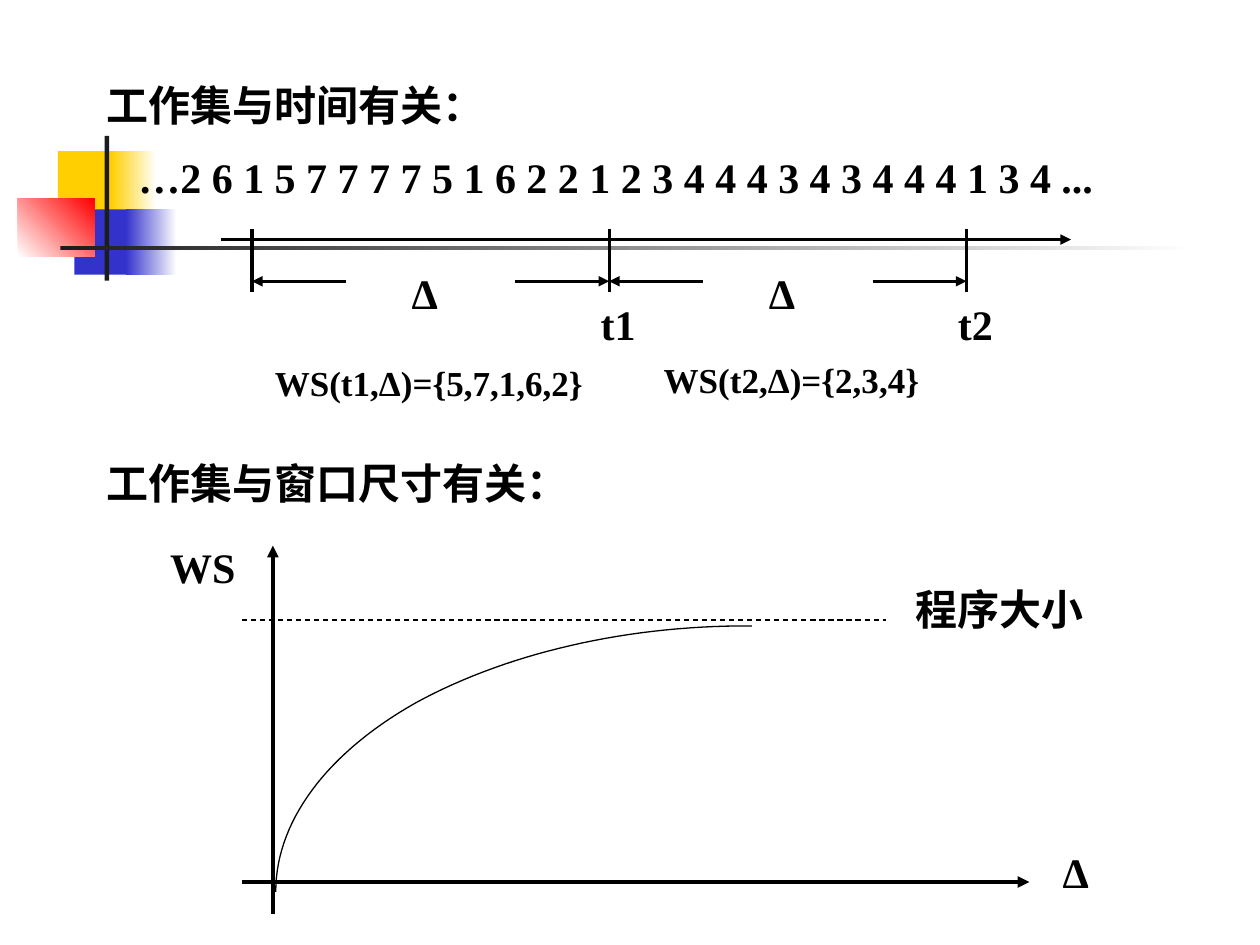
import lxml.etree
import pptx
import pptx.dml.color
import pptx.enum.dml
import pptx.enum.shapes
import pptx.enum.text
import pptx.oxml.ns
import pptx.util

Cm = pptx.util.Cm
Pt = pptx.util.Pt
qn = pptx.oxml.ns.qn
BLACK = "000000"


def hue(code):
    """Turn a hex string into a colour."""
    return pptx.dml.color.RGBColor.from_string(code)


def say(text, x, y, w, h=1.27, size=24, box=None):
    """Write bold text in a new text box, or in the placeholder given as box."""
    if box is None:
        box = slide.shapes.add_textbox(0, 0, 0, 0)
    box.left, box.top, box.width, box.height = Cm(x), Cm(y), Cm(w), Cm(h)
    frame = box.text_frame
    frame.word_wrap = True
    frame.auto_size = pptx.enum.text.MSO_AUTO_SIZE.NONE
    frame.vertical_anchor = pptx.enum.text.MSO_ANCHOR.TOP
    para = frame.paragraphs[0]
    para.alignment = pptx.enum.text.PP_ALIGN.LEFT
    run = para.add_run()
    run.text = text
    run.font.name = "Times New Roman"
    run.font.size = Pt(size)
    run.font.bold = True
    run.font.color.rgb = hue(BLACK)


deck = pptx.Presentation()
deck.slide_width, deck.slide_height = Cm(25.4), Cm(19.05)
slide = deck.slides.add_slide(deck.slide_layouts[5])

# Corner ornament: place, first colour, last colour, gradient angle
decor = [
    (1.17, 3.05, 1.22, 1.32, "FFCF01", None, 0),
    (2.24, 3.05, 0.91, 1.32, "FFCF01", "FFFFFF", 0),
    (1.5, 4.22, 1.17, 1.32, "3333CC", None, 0),
    (2.54, 4.22, 1.02, 1.32, "3333CC", "FFFFFF", 0),
    (0.36, 4.01, 1.55, 1.17, "FFFFFF", "FF0000", 45),
    (2.11, 2.74, 0.09, 2.92, "1C1C1C", None, 0),
    (1.22, 4.95, 22.86, 0.09, "1C1C1C", "FFFFFF", 0),
]
for x, y, w, h, first, last, angle in decor:
    block = slide.shapes.add_shape(
        pptx.enum.shapes.MSO_SHAPE.RECTANGLE, Cm(x), Cm(y), Cm(w), Cm(h))
    block.shadow.inherit = False
    block.line.fill.background()
    if last is None:
        block.fill.solid()
        block.fill.fore_color.rgb = hue(first)
    else:
        block.fill.gradient()
        block.fill.gradient_angle = angle
        for stop, code in zip(block.fill.gradient_stops, (first, last)):
            stop.color.rgb = hue(code)

# Headings and labels
say("工作集与时间有关：", 1.9, 1.48, 20.52, box=slide.shapes.title)
say("…2 6 1 5 7 7 7 7 5 1 6 2 2 1 2 3 4 4 4 3 4 3 4 4 4 1 3 4 ...", 2.54, 2.92, 21.39)
say("WS(t1,Δ)={5,7,1,6,2}", 5.29, 7.16, 6.99, h=1.09, size=20)
say("WS(t2,Δ)={2,3,4}", 13.13, 7.11, 6.99, h=1.09, size=20)
say("工作集与窗口尺寸有关：", 1.9, 9.1, 20.52)
say("程序大小", 18.2, 11.64, 4.88)
say("Δ", 21.17, 16.93, 1.9)
say("WS", 3.18, 10.8, 2.54)

# Lines: start, end, width, style
lines = [
    (4.45, 4.83, 21.59, 4.83, 2, "arrow"),
    (4.87, 17.78, 20.75, 17.78, 2.25, "arrow"),
    (5.5, 18.42, 5.5, 11, 2.25, "arrow"),
    (4.87, 12.5, 17.86, 12.5, 0.75, "dash"),
]
origin, span = 5.08, 7.2
for tick in range(3):
    x = origin + tick * span
    lines.append((x, 4.62, x, 5.89, 1.75, "plain"))
for index in range(2):
    start = origin + index * span
    end = start + span
    lines.append((start + 1.89, 5.67, start, 5.67, 2, "arrow"))
    lines.append((end - 1.89, 5.67, end, 5.67, 2, "arrow"))
    say("Δ", start + 2.97, 5.26, 1.48)
    say(f"t{index + 1}", end - 0.42, 5.89, 1.3)

for x1, y1, x2, y2, width, style in lines:
    link = slide.shapes.add_connector(
        pptx.enum.shapes.MSO_CONNECTOR.STRAIGHT, Cm(x1), Cm(y1), Cm(x2), Cm(y2))
    link.line.color.rgb = hue(BLACK)
    link.line.width = Pt(width)
    if style == "dash":
        link.line.dash_style = pptx.enum.dml.MSO_LINE.DASH
    props = link.element.spPr
    if style == "arrow":
        lxml.etree.SubElement(props.find(qn("a:ln")), qn("a:tailEnd"), type="triangle")
    lxml.etree.SubElement(props, qn("a:effectLst"))

# Working set growth: two Bezier arcs, sampled
arcs = [
    [(15.16, 12.62), (12.62, 12.6), (10.19, 13.18), (8.38, 14.17)],
    [(8.38, 14.17), (6.58, 15.19), (5.56, 16.56), (5.56, 17.98)],
]
steps = 30
dots = []
for arc in arcs:
    for step in range(1, steps + 1):
        t = step / steps
        parts = ((1 - t) ** 3, 3 * t * (1 - t) ** 2, 3 * t * t * (1 - t), t ** 3)
        dots.append(tuple(
            Cm(sum(part * dot[axis] for part, dot in zip(parts, arc)))
            for axis in range(2)))
x, y = arcs[0][0]
path = slide.shapes.build_freeform(Cm(x), Cm(y))
path.add_line_segments(dots, close=False)
curve = path.convert_to_shape()
curve.shadow.inherit = False
curve.fill.background()
curve.line.color.rgb = hue(BLACK)
curve.line.width = Pt(0.75)

deck.save("out.pptx")
